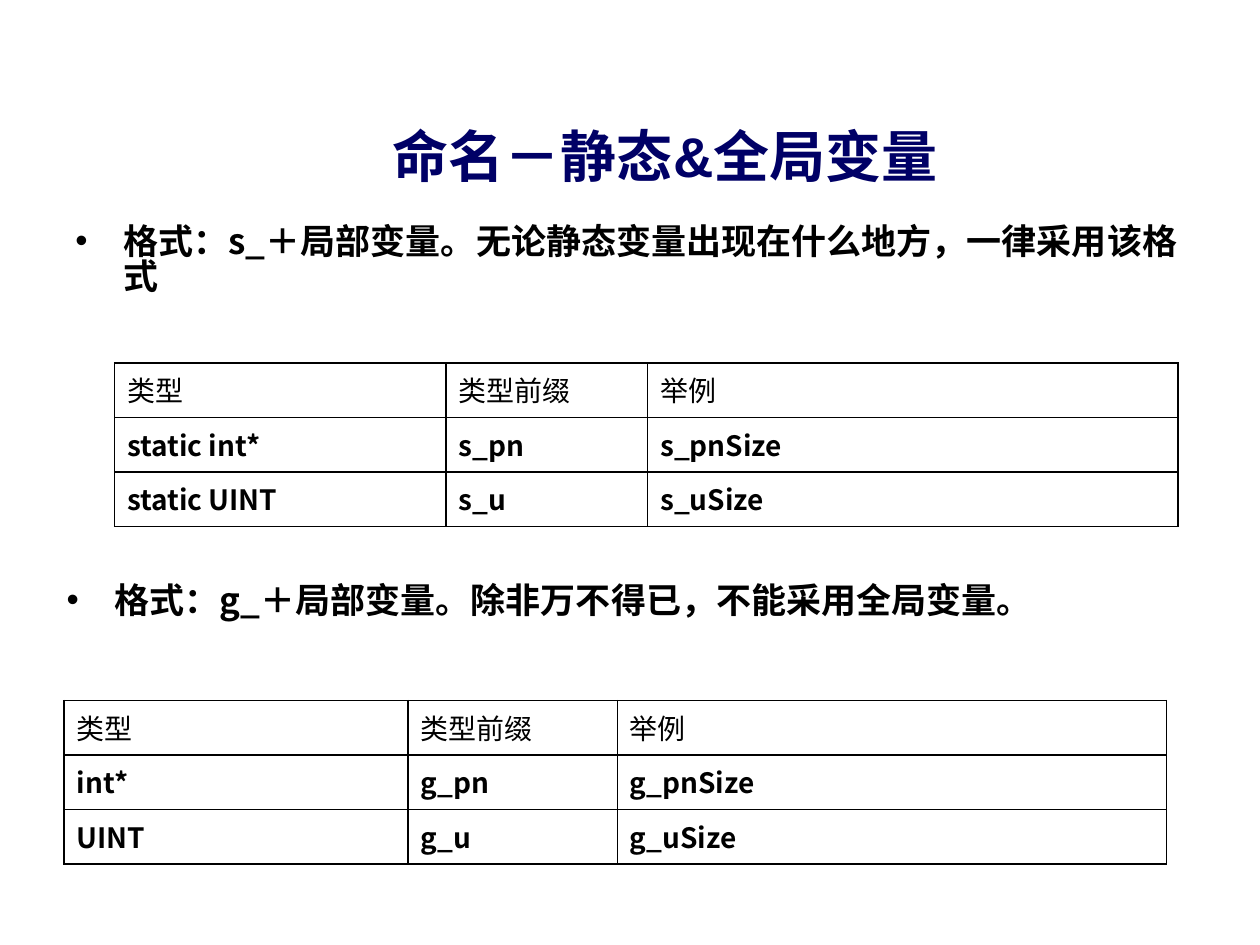
import dataclasses
import pptx
import pptx.dml.color
import pptx.enum.text
import pptx.oxml
import pptx.oxml.ns
import pptx.util
from lxml import etree

Inches = pptx.util.Inches
Pt = pptx.util.Pt
qn = pptx.oxml.ns.qn


@dataclasses.dataclass(frozen=True)
class Theme:
    navy: str = "000066"
    ink: str = "000000"
    latin: str = "Arial"
    hans: str = "Noto Sans CJK SC"
    head: int = 32
    body: int = 20
    cell: int = 16
    line: int = 1


theme = Theme()


def write(para, text, size, font, color, bold):
    run = para.add_run()
    run.text = text
    run.font.size = Pt(size)
    run.font.bold = bold
    run.font.name = font
    run.font.color.rgb = pptx.dml.color.RGBColor.from_string(color)
    etree.SubElement(run.font._element, qn("a:ea"), typeface=theme.hans)


def hang(para):
    props = para._p.get_or_add_pPr()
    props.set("marL", str(Inches(0.38)))
    props.set("indent", str(-Inches(0.38)))
    return props


def frame(slide, box):
    text = slide.shapes.add_textbox(*map(Inches, box)).text_frame
    text.word_wrap = True
    return text


def title(slide, box, text):
    area = frame(slide, box)
    area.vertical_anchor = pptx.enum.text.MSO_ANCHOR.MIDDLE
    para = area.paragraphs[0]
    para.alignment = pptx.enum.text.PP_ALIGN.CENTER
    write(para, text, theme.head, theme.latin, theme.navy, True)


def bullet(slide, box, text, pitch):
    para = frame(slide, box).paragraphs[0]
    para.line_spacing = pitch
    para.space_before = Pt(theme.body * 0.2)
    props = hang(para)
    etree.SubElement(props, qn("a:buFont"), typeface=theme.latin)
    etree.SubElement(props, qn("a:buChar"), char="•")
    write(para, text, theme.body, theme.hans, theme.ink, True)


def border(cell):
    props = cell._tc.get_or_add_tcPr()
    for place, side in enumerate(("L", "R", "T", "B")):
        line = etree.Element(qn(f"a:ln{side}"), w=str(Pt(theme.line)))
        fill = etree.SubElement(line, qn("a:solidFill"))
        etree.SubElement(fill, qn("a:srgbClr"), val=theme.ink)
        props.insert(place, line)


def table(slide, box, widths, rows):
    grid = slide.shapes.add_table(len(rows), len(widths), *map(Inches, box)).table
    grid.first_row = False
    grid.horz_banding = False
    for col, width in zip(grid.columns, widths):
        col.width = Inches(width)
    for r, row in enumerate(rows):
        for c, text in enumerate(row):
            cell = grid.cell(r, c)
            cell.fill.background()
            border(cell)
            para = cell.text_frame.paragraphs[0]
            hang(para)
            write(para, text, theme.cell, theme.hans, theme.ink, r > 0)


def main():
    deck = pptx.Presentation()
    deck.slide_width = Inches(10)
    deck.slide_height = Inches(7.5)
    slide = deck.slides.add_slide(deck.slide_layouts[6])
    names = ("类型", "类型前缀", "举例")
    title(slide, (1.06, 0.91, 8.44, 0.64), "命名－静态&全局变量")
    bullet(slide, (0.5, 1.75, 9.07, 1.45),
           "格式：s_＋局部变量。无论静态变量出现在什么地方，一律采用该格式", 0.83)
    table(slide, (0.91, 2.88, 8.44, 1.3), (2.63, 1.6, 4.21),
          (names, ("static int*", "s_pn", "s_pnSize"),
           ("static UINT", "s_u", "s_uSize")))
    bullet(slide, (0.43, 4.54, 8.91, 1.13),
           "格式：g_＋局部变量。除非万不得已，不能采用全局变量。", 1.0)
    table(slide, (0.51, 5.56, 8.75, 1.3), (2.73, 1.66, 4.36),
          (names, ("int*", "g_pn", "g_pnSize"), ("UINT", "g_u", "g_uSize")))
    deck.save("out.pptx")


if __name__ == "__main__":
    main()
